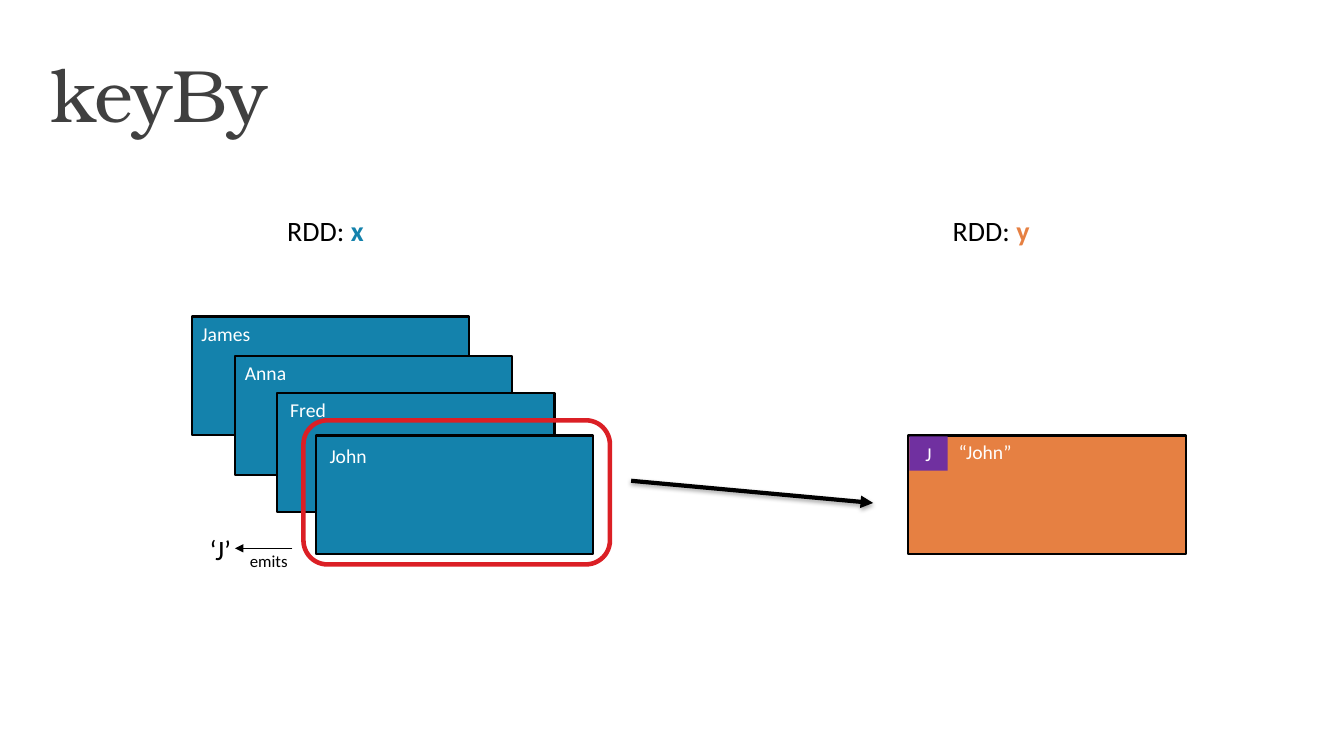
from lxml import etree
from pptx import Presentation
from pptx import util as u
from pptx.dml import color
from pptx.enum import shapes, text
from pptx.oxml import ns

INK, WHITE, BLUE, ORANGE, PURPLE, RED = "000000", "FFFFFF", "1482AC", "E68042", "7030A0", "DB1F25"
CARD_WIDTH, CARD_HEIGHT = 2.75, 1.18
NAME_CARDS = [
    ("James", 1.9, 3.14, 0, 0),
    ("Anna", 2.33, 3.53, 0, 0),
    ("Fred", 2.75, 3.9, 0.03, 0),
    ("John", 3.13, 4.32, 0.04, 0.04),
]


def paint(target, shade):
    """Set a fill or font colour from a hex string."""
    target.rgb = color.RGBColor.from_string(shade)


def add_span(para, words, size=14, shade=WHITE, bold=False, font="Calibri"):
    span = para.add_run()
    span.text = words
    span.font.name, span.font.size, span.font.bold = font, u.Pt(size), bold
    paint(span.font.color, shade)


def add_label(parent, words, left, top, width, height=0.34, **style):
    box = parent.add_textbox(*map(u.Inches, (left, top, width, height)))
    box.text_frame.word_wrap = True
    para = box.text_frame.paragraphs[0]
    add_span(para, words, **style)
    return para


def add_box(parent, left, top, width=CARD_WIDTH, height=CARD_HEIGHT, fill=None,
            line=INK, weight=1.5, kind=shapes.MSO_SHAPE.RECTANGLE):
    box = parent.add_shape(kind, *map(u.Inches, (left, top, width, height)))
    box.shadow.inherit = False
    if fill:
        box.fill.solid()
        paint(box.fill.fore_color, fill)
    else:
        box.fill.background()
    if line:
        paint(box.line.color, line)
        box.line.width = u.Pt(weight)
    else:
        box.line.fill.background()
    return box


def add_arrow(parent, start, end, weight, shadow=False):
    arrow = parent.add_connector(shapes.MSO_CONNECTOR.STRAIGHT, *map(u.Inches, start + end))
    paint(arrow.line.color, INK)
    arrow.line.width = u.Pt(weight)
    etree.SubElement(arrow.line._get_or_add_ln(), ns.qn("a:tailEnd"), type="triangle")
    effects = etree.SubElement(arrow._element.spPr, ns.qn("a:effectLst"))
    if shadow:
        cast = etree.SubElement(effects, ns.qn("a:outerShdw"), blurRad=str(u.Pt(3.1)),
                                dist=str(u.Pt(1.8)), dir="5400000", rotWithShape="0")
        shade = etree.SubElement(cast, ns.qn("a:srgbClr"), val=INK)
        etree.SubElement(shade, ns.qn("a:alpha"), val="35000")


def add_title(page, words):
    title = page.shapes.title
    title.left, title.top, title.width, title.height = map(u.Inches, (0.37, 0.3, 12.48, 1.25))
    frame = title.text_frame
    frame.margin_left = frame.margin_right = u.Inches(0.13)
    frame.margin_top = frame.margin_bottom = u.Inches(0.07)
    frame.vertical_anchor = text.MSO_ANCHOR.MIDDLE
    para = frame.paragraphs[0]
    para.alignment = text.PP_ALIGN.LEFT
    add_span(para, words, size=53, shade="404040", font="TeX Gyre Bonum")


def add_heading(parent, name, left, shade):
    para = add_label(parent, "RDD: ", left, 2.07, 1.55, 0.44, size=20, shade=INK)
    add_span(para, name, size=20, shade=shade, bold=True)


def add_keyed_card(parent):
    group = parent.add_group_shape().shapes
    add_box(group, 9.01, 4.32, fill=ORANGE)
    key = add_box(group, 9.02, 4.33, 0.38, 0.34, fill=PURPLE, line=None)
    para = key.text_frame.paragraphs[0]
    para.alignment = text.PP_ALIGN.CENTER
    add_span(para, "J")
    add_label(group, "“John”", 9.41, 4.32, 1.91)


def main():
    deck = Presentation()
    deck.slide_width, deck.slide_height = u.Inches(13.33), u.Inches(7.5)
    page = deck.slides.add_slide(deck.slide_layouts[5])
    parts = page.shapes
    add_title(page, "keyBy")
    add_heading(parts, "x", 2.75, BLUE)
    add_heading(parts, "y", 9.35, ORANGE)
    for name, left, top, indent, drop in NAME_CARDS:
        add_box(parts, left, top, fill=BLUE)
        add_label(parts, name, left + indent, top + drop, 0.9)
    add_arrow(parts, (6.26, 4.77), (8.66, 4.99), 3, shadow=True)
    add_keyed_card(parts)
    add_box(parts, 3.01, 4.17, 3.04, 1.43, line=RED, weight=3.25,
            kind=shapes.MSO_SHAPE.ROUNDED_RECTANGLE)
    add_label(parts, "emits", 2.38, 5.41, 0.66, 0.3, size=12, shade=INK)
    add_arrow(parts, (2.9, 5.44), (2.33, 5.44), 1)
    add_label(parts, "‘J’", 1.98, 5.23, 0.66, 0.44, size=20, shade=INK)
    deck.save("out.pptx")


if __name__ == "__main__":
    main()
